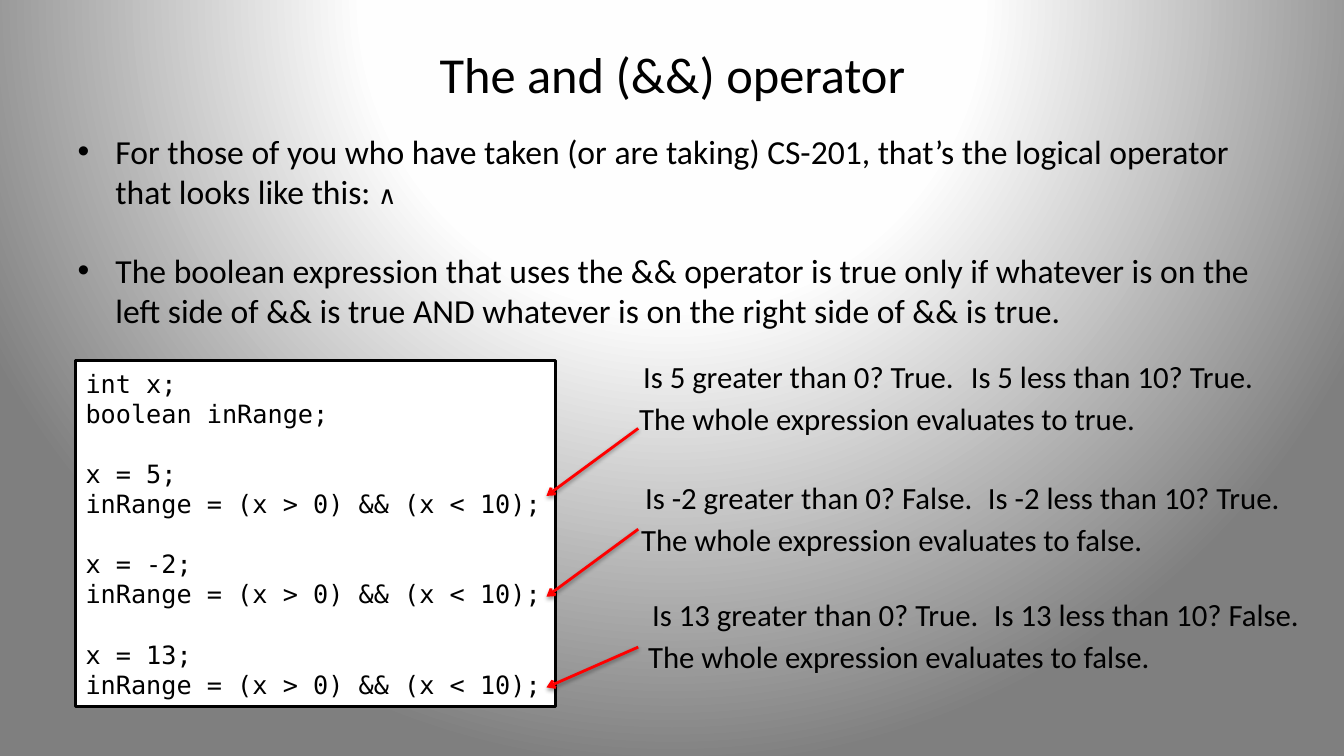
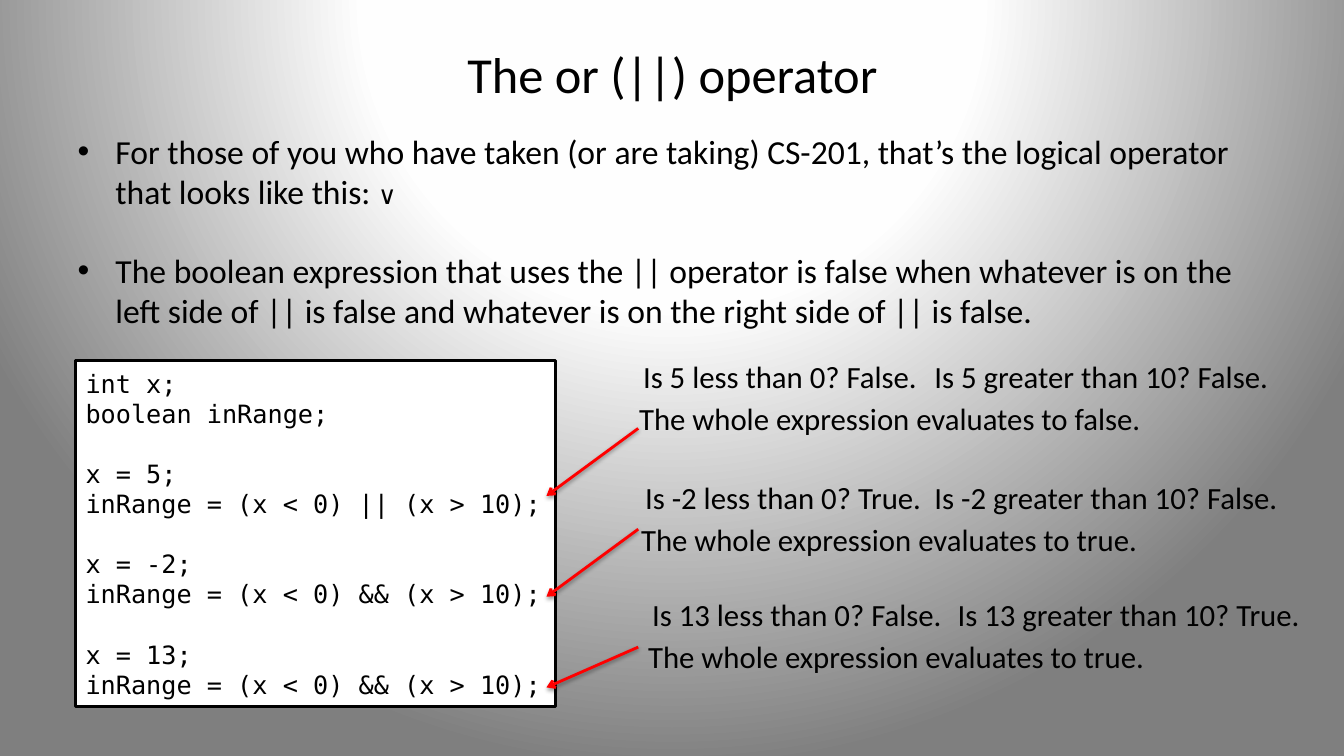
from dataclasses import dataclass

from pptx import Presentation
from pptx.dml.color import RGBColor
from pptx.enum.shapes import MSO_CONNECTOR, MSO_SHAPE
from pptx.enum.text import MSO_ANCHOR, MSO_AUTO_SIZE, PP_ALIGN
from pptx.oxml import parse_xml
from pptx.oxml.ns import nsdecls, qn
from pptx.util import Inches, Pt

RECT, STRAIGHT = MSO_SHAPE.RECTANGLE, MSO_CONNECTOR.STRAIGHT
LEFT, CENTER = PP_ALIGN.LEFT, PP_ALIGN.CENTER
MIDDLE, NO_FIT = MSO_ANCHOR.MIDDLE, MSO_AUTO_SIZE.NONE


@dataclass(frozen=True)
class Theme:
    """Colours, fonts and type sizes shared by the slides."""
    ink: RGBColor = RGBColor(0, 0, 0)
    paper: RGBColor = RGBColor(255, 255, 255)
    arrow: RGBColor = RGBColor(255, 0, 0)
    glow: tuple = ((0, "FFFFFF"), (40, "FEFEFE"), (100, "7F7F7F"))
    font: str = "Calibri"
    mono: str = "DejaVu Sans Mono"
    title: float = 36
    body: float = 24
    symbol: float = 18
    code: float = 18
    code_pitch: float = 21.5
    note: float = 22
    bullet_gap: float = 27
    line: float = 2


THEME = Theme()

INTRO = ("For those of you who have taken (or are taking) CS-201, "
         "that’s the logical operator that looks like this: ")
DECLARATIONS = ["int x;", "boolean inRange;"]

# Each check: x, test, (first question, width), (second question, left, width), verdict
SLIDES = [
    {
        "title": "The and (&&) operator",
        "symbol": "∧",
        "rule": "The boolean expression that uses the && operator is true only if "
                "whatever is on the left side of && is true AND whatever is on "
                "the right side of && is true.",
        "checks": [
            ("5", "(x > 0) && (x < 10)", ("Is 5 greater than 0? True.", 3.35),
             ("Is 5 less than 10? True.", 9.53, 3.05), "true"),
            ("-2", "(x > 0) && (x < 10)", ("Is -2 greater than 0? False.", 3.51),
             ("Is -2 less than 10? True.", 9.7, 3.15), "false"),
            ("13", "(x > 0) && (x < 10)", ("Is 13 greater than 0? True.", 3.51),
             ("Is 13 less than 10? False.", 9.76, 3.27), "false"),
        ],
    },
    {
        "title": "The or (||) operator",
        "symbol": "∨",
        "rule": "The boolean expression that uses the || operator is false when "
                "whatever is on the left side of || is false and whatever is on "
                "the right side of || is false.",
        "checks": [
            ("5", "(x < 0) || (x > 10)", ("Is 5 less than 0? False.", 2.96),
             ("Is 5 greater than 10? False.", 9.17, 3.57), "false"),
            ("-2", "(x < 0) && (x > 10)", ("Is -2 less than 0? True.", 2.99),
             ("Is -2 greater than 10? False.", 9.17, 3.66), "true"),
            ("13", "(x < 0) && (x > 10)", ("Is 13 less than 0? False.", 3.11),
             ("Is 13 greater than 10? True.", 9.4, 3.66), "true"),
        ],
    },
]

# Left and top of the notes, then start and end heights of the arrow
NOTE_ROWS = [(6.28, 3.5, 4.25, 4.92), (6.3, 4.7, 5.25, 5.92), (6.37, 5.86, 6.42, 6.82)]
ARROW_FROM, ARROW_TO = 6.33, 5.42
NOTE_HEIGHT = 0.47
VERDICT_SHIFT, VERDICT_DROP = -0.04, 0.42
VERDICT_WIDTH = {"true": 5.2, "false": 5.26}
TITLE_BOX = (0.67, 0.25, 12, 0.95)
BODY_BOX = (0.67, 1.25, 12, 2.5)
CODE_BOX = (0.75, 3.58, 4.76, 3.43)


def place(sp, box):
    """Move a shape to a box given in inches."""
    sp.left, sp.top, sp.width, sp.height = map(Inches, box)


def style(p, size, font=THEME.font):
    """Format every run of a paragraph."""
    for r in p.runs:
        r.font.name, r.font.size = font, Pt(size)
        r.font.color.rgb = THEME.ink


def set_up_master(prs, layout):
    """Give the master its radial glow and the layout its placeholder boxes."""
    master = prs.slide_master
    master.background.fill.gradient()
    stops = "".join(f'<a:gs pos="{pos * 1000}"><a:srgbClr val="{color}"/></a:gs>'
                    for pos, color in THEME.glow)
    glow = parse_xml(
        f'<a:gradFill {nsdecls("a")} rotWithShape="1"><a:gsLst>{stops}</a:gsLst>'
        '<a:path path="circle"><a:fillToRect l="50000" t="-80000" r="50000" '
        'b="180000"/></a:path></a:gradFill>')
    old = master.element.find(".//" + qn("a:gradFill"))
    old.getparent().replace(old, glow)
    for holder, box in zip(layout.placeholders, (TITLE_BOX, BODY_BOX)):
        place(holder, box)


def add_heading(s, content):
    """Fill the title and the two bullets."""
    title, body = s.shapes.title, s.placeholders[1]
    title.text_frame.text = content["title"]
    title.text_frame.vertical_anchor = MIDDLE
    p = title.text_frame.paragraphs[0]
    p.alignment = CENTER
    style(p, THEME.title)

    tf = body.text_frame
    tf.text = INTRO
    intro, rule = tf.paragraphs[0], tf.add_paragraph()
    intro.add_run().text = content["symbol"]
    rule.text = content["rule"]
    rule.space_before = Pt(THEME.bullet_gap)
    for p in (intro, rule):
        style(p, THEME.body)
    intro.runs[-1].font.size = Pt(THEME.symbol)
    for frame in (title.text_frame, tf):
        frame.auto_size = NO_FIT


def add_code(s, checks):
    """Draw the code panel, with a gap of one line between its groups."""
    sp = s.shapes.add_shape(RECT, *map(Inches, CODE_BOX))
    sp.shadow.inherit = False
    sp.fill.solid()
    sp.fill.fore_color.rgb = THEME.paper
    sp.line.color.rgb = THEME.ink
    sp.line.width = Pt(THEME.line)
    tf = sp.text_frame
    tf.word_wrap = False
    tf.vertical_anchor = MIDDLE
    groups = [DECLARATIONS] + [[f"x = {x};", f"inRange = {test};"]
                               for x, test, *_ in checks]
    tf.text = "\n".join(line for group in groups for line in group)
    for i, p in enumerate(tf.paragraphs):
        p.alignment = LEFT
        p.line_spacing = Pt(THEME.code_pitch)
        if i and i % 2 == 0:
            p.space_before = Pt(THEME.code_pitch)
        style(p, THEME.code, THEME.mono)


def add_note(s, text, left, top, width):
    """Add one line of explanation."""
    sp = s.shapes.add_textbox(*map(Inches, (left, top, width, NOTE_HEIGHT)))
    tf = sp.text_frame
    tf.word_wrap = False
    tf.text = text
    style(tf.paragraphs[0], THEME.note)


def add_arrow(s, start, end):
    """Point from a note to its line of code, with a soft shadow."""
    ends = map(Inches, (ARROW_FROM, start, ARROW_TO, end))
    arrow = s.shapes.add_connector(STRAIGHT, *ends)
    arrow.line.color.rgb = THEME.arrow
    arrow.line.width = Pt(THEME.line)
    sp_pr = arrow.element.spPr
    sp_pr.find(qn("a:ln")).append(
        parse_xml(f'<a:tailEnd {nsdecls("a")} type="arrow"/>'))
    sp_pr.append(parse_xml(
        f'<a:effectLst {nsdecls("a")}><a:outerShdw blurRad="{Pt(3.1)}" '
        f'dist="{Pt(1.6)}" dir="5400000" rotWithShape="0"><a:srgbClr val="{THEME.ink}">'
        '<a:alpha val="38000"/></a:srgbClr></a:outerShdw></a:effectLst>'))


def add_operator_slide(prs, layout, content):
    """Build one slide about a logical operator."""
    s = prs.slides.add_slide(layout)
    add_heading(s, content)
    add_code(s, content["checks"])
    for check, (left, top, _, _) in zip(content["checks"], NOTE_ROWS):
        _, _, (first, width), (second, second_left, second_width), verdict = check
        add_note(s, first, left, top, width)
        add_note(s, second, second_left, top, second_width)
        add_note(s, f"The whole expression evaluates to {verdict}.",
                 left + VERDICT_SHIFT, top + VERDICT_DROP, VERDICT_WIDTH[verdict])
    for _, _, start, end in NOTE_ROWS:
        add_arrow(s, start, end)


def main():
    """Build and save the presentation."""
    prs = Presentation()
    prs.slide_width, prs.slide_height = Inches(13.33), Inches(7.5)
    layout = prs.slide_layouts[1]
    set_up_master(prs, layout)
    for content in SLIDES:
        add_operator_slide(prs, layout, content)
    prs.save("out.pptx")


main()
